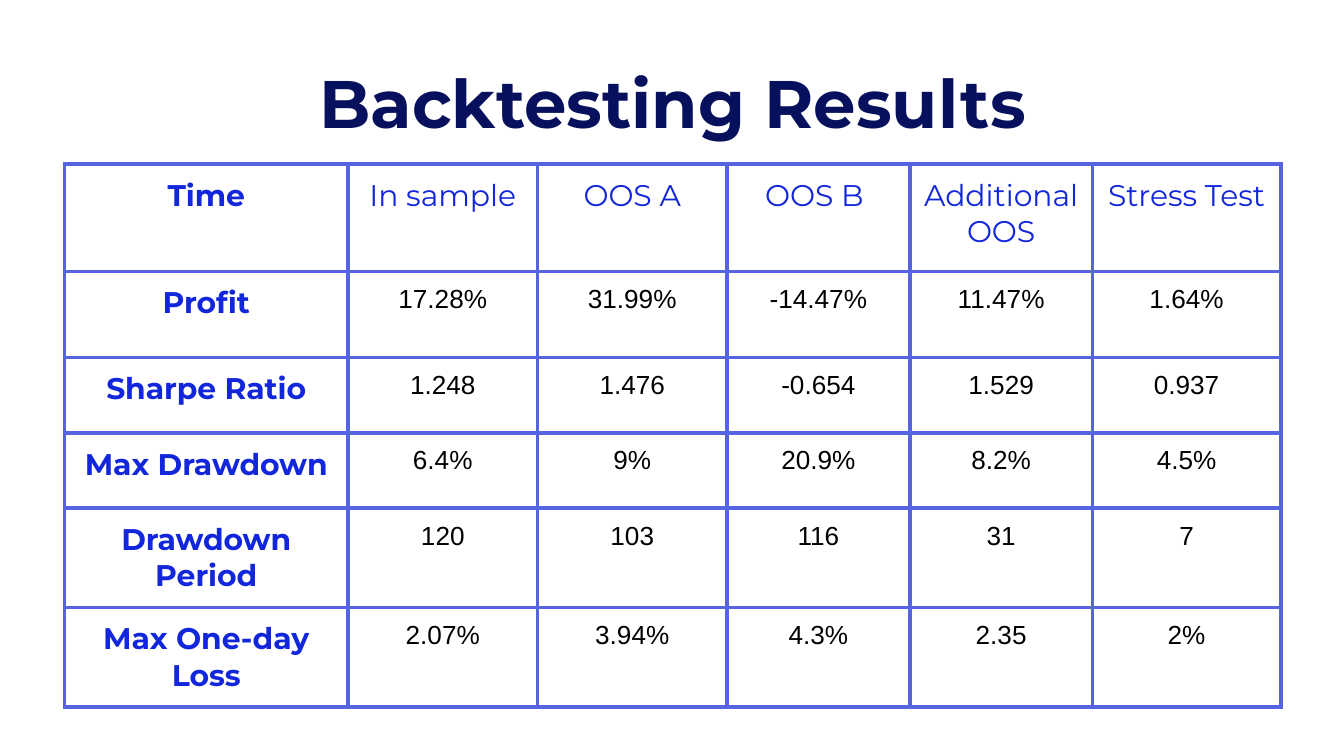
"""Build a slide with a table of backtesting results."""
from dataclasses import dataclass

from lxml import etree
from pptx import Presentation
from pptx.dml.color import RGBColor
from pptx.enum.text import MSO_ANCHOR, MSO_AUTO_SIZE, PP_ALIGN
from pptx.oxml.ns import qn
from pptx.slide import Slide
from pptx.table import _Cell
from pptx.text.text import TextFrame
from pptx.util import Inches, Pt

CENTER = PP_ALIGN.CENTER
TOP = MSO_ANCHOR.TOP
NO_AUTOFIT = MSO_AUTO_SIZE.NONE
TITLE_ONLY = 5
SLIDE_WIDTH = 10
SLIDE_HEIGHT = SLIDE_WIDTH * 9 / 16


@dataclass(frozen=True)
class TextStyle:
    font: str
    size: float
    color: str
    bold: bool = False


@dataclass(frozen=True)
class Theme:
    title: TextStyle = TextStyle("Montserrat", 36, "07105C", True)
    metric: TextStyle = TextStyle("Montserrat", 16, "1226DB", True)
    period: TextStyle = TextStyle("Montserrat", 16, "1226DB")
    value: TextStyle = TextStyle("Arial", 14, "000000")
    border: str = "5664E1"
    border_width: float = 2.25
    inset: float = 0.1


@dataclass(frozen=True)
class ResultRow:
    metric: str
    entries: tuple[str, ...]
    height: float
    entry_style: TextStyle


THEME = Theme()
COLUMN_WIDTHS = (2.11, 1.41, 1.41, 1.36, 1.36, 1.4)
RESULTS = (
    ResultRow("Time", ("In sample", "OOS A", "OOS B ", "Additional OOS", "Stress Test"), 0.8, THEME.period),
    ResultRow("Profit", ("17.28%", "31.99%", "-14.47%", "11.47%", "1.64%"), 0.64, THEME.value),
    ResultRow("Sharpe Ratio", ("1.248", "1.476", "-0.654", "1.529", "0.937"), 0.56, THEME.value),
    ResultRow("Max Drawdown", ("6.4%", "9%", "20.9%", "8.2%", "4.5%"), 0.56, THEME.value),
    ResultRow("Drawdown Period", ("120", "103", "116", "31", "7"), 0.74, THEME.value),
    ResultRow("Max One-day Loss", ("2.07%", "3.94%", "4.3%", "2.35", "2%"), 0.74, THEME.value),
)


def write_text(frame: TextFrame, text: str, style: TextStyle) -> None:
    """Add one centred, styled run to the first paragraph of a frame."""
    paragraph = frame.paragraphs[0]
    paragraph.alignment = CENTER
    run = paragraph.add_run()
    run.text = text
    run.font.name = style.font
    run.font.size = Pt(style.size)
    run.font.bold = style.bold
    run.font.color.rgb = RGBColor.from_string(style.color)


def draw_borders(cell: _Cell) -> None:
    """Outline all four sides of a cell."""
    properties = cell._tc.get_or_add_tcPr()
    for position, side in enumerate(("a:lnL", "a:lnR", "a:lnT", "a:lnB")):
        line = etree.Element(qn(side), w=str(Pt(THEME.border_width)))
        fill = etree.SubElement(line, qn("a:solidFill"))
        etree.SubElement(fill, qn("a:srgbClr"), val=THEME.border)
        properties.insert(position, line)


def set_insets(box: TextFrame | _Cell) -> None:
    """Give a text frame or cell the same margin on every side."""
    box.margin_left = box.margin_right = Inches(THEME.inset)
    box.margin_top = box.margin_bottom = Inches(THEME.inset)
    box.vertical_anchor = TOP


def fill_cell(cell: _Cell, text: str, style: TextStyle) -> None:
    """Write and outline a transparent cell."""
    write_text(cell.text_frame, text, style)
    set_insets(cell)
    cell.fill.background()
    draw_borders(cell)


def add_title(slide: Slide, text: str) -> None:
    """Place the heading in the title placeholder."""
    title = slide.shapes.title
    title.left, title.top = Inches(1.53), Inches(0.36)
    title.width, title.height = Inches(6.95), Inches(0.65)
    frame = title.text_frame
    frame.word_wrap = True
    frame.auto_size = NO_AUTOFIT
    set_insets(frame)
    write_text(frame, text, THEME.title)


def add_results(slide: Slide, results: tuple[ResultRow, ...]) -> None:
    """Add the grid of metrics by test period."""
    table = slide.shapes.add_table(
        len(results), len(COLUMN_WIDTHS), Inches(0.48), Inches(1.22),
        Inches(sum(COLUMN_WIDTHS)), Inches(sum(result.height for result in results)),
    ).table
    table.first_row = table.horz_banding = False
    for column, width in zip(table.columns, COLUMN_WIDTHS):
        column.width = Inches(width)
    for row, result in zip(table.rows, results):
        row.height = Inches(result.height)
        metric_cell, *entry_cells = row.cells
        fill_cell(metric_cell, result.metric, THEME.metric)
        for cell, entry in zip(entry_cells, result.entries):
            fill_cell(cell, entry, result.entry_style)


def main() -> None:
    """Build and save the presentation."""
    presentation = Presentation()
    presentation.slide_width = Inches(SLIDE_WIDTH)
    presentation.slide_height = Inches(SLIDE_HEIGHT)
    slide = presentation.slides.add_slide(presentation.slide_layouts[TITLE_ONLY])
    add_title(slide, "Backtesting Results")
    add_results(slide, RESULTS)
    presentation.save("out.pptx")


if __name__ == "__main__":
    main()
